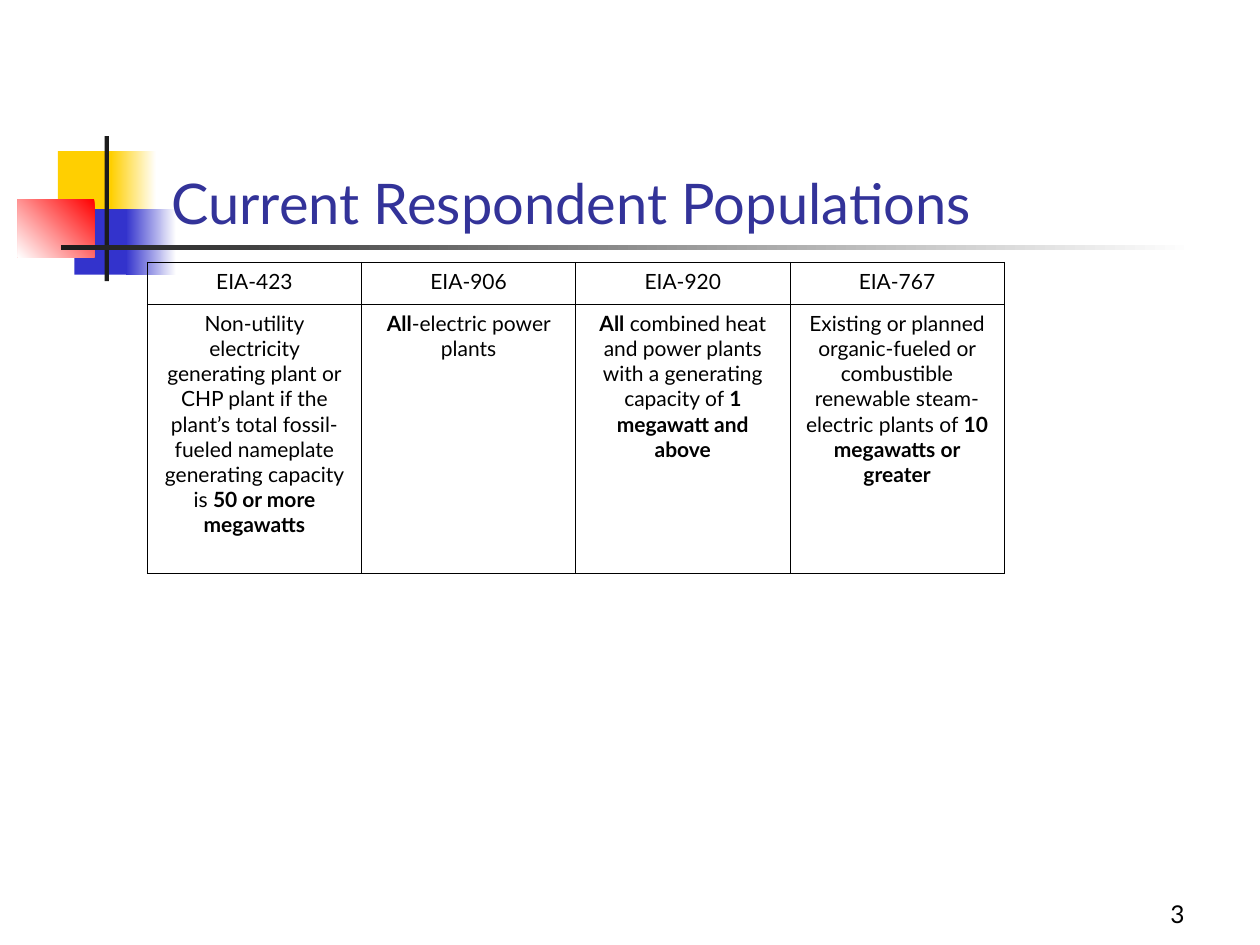
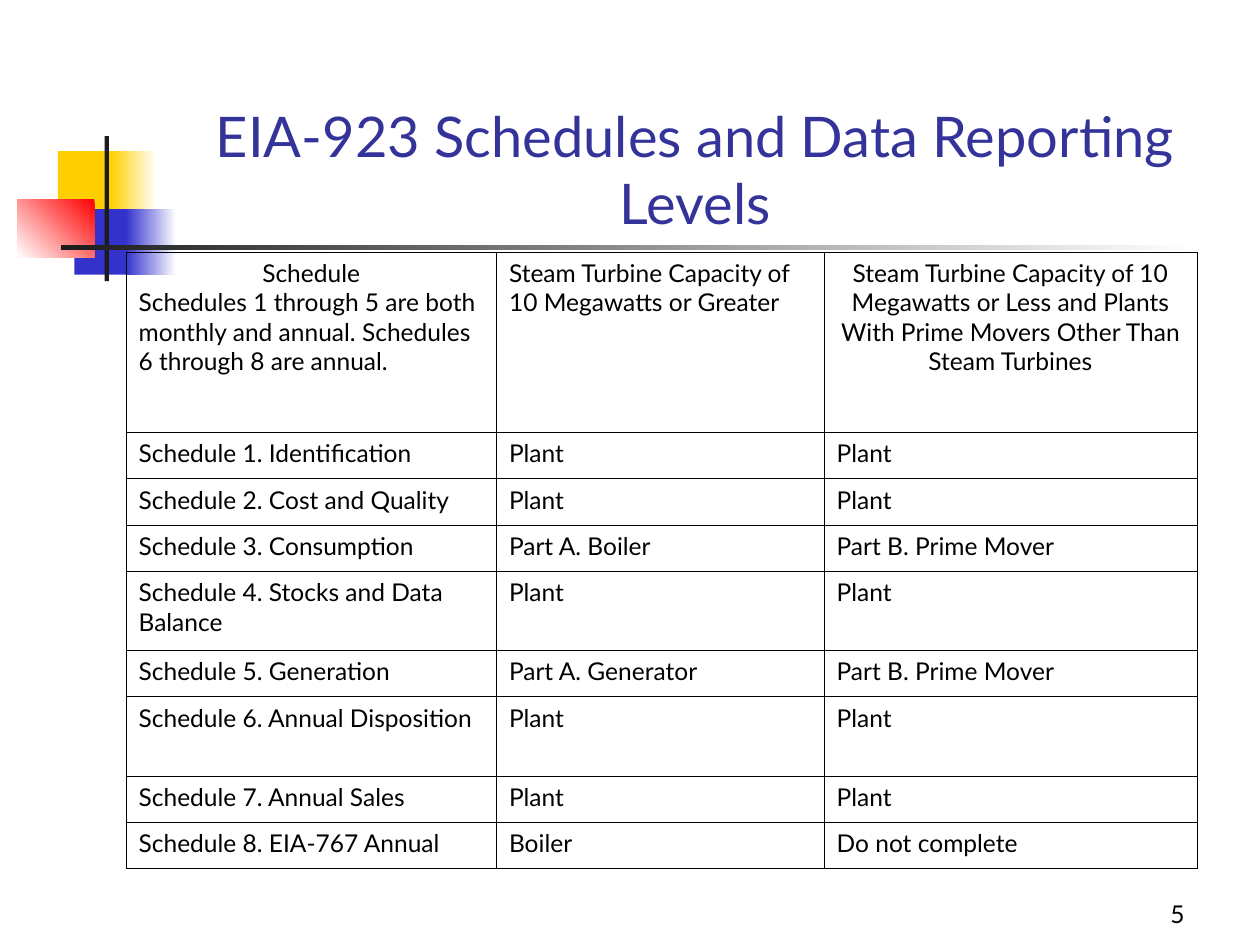
"""Build two slides on respondent populations and EIA-923 schedules."""
from lxml.etree import SubElement
from pptx import Presentation
from pptx.dml.color import RGBColor
from pptx.enum.shapes import MSO_SHAPE
from pptx.enum.text import MSO_ANCHOR, PP_ALIGN
from pptx.oxml.ns import qn
from pptx.util import Pt

FONT = "Lato"
NAVY = RGBColor(0x33, 0x33, 0x99)
BLACK = RGBColor(0, 0, 0)
WHITE = RGBColor(0xFF, 0xFF, 0xFF)
YELLOW = RGBColor(0xFF, 0xCF, 0x01)
BLUE = RGBColor(0x33, 0x33, 0xCC)
RED = RGBColor(0xFF, 0, 0)
DARK = RGBColor(0x1C, 0x1C, 0x1C)
LEFT, CENTER, RIGHT = PP_ALIGN.LEFT, PP_ALIGN.CENTER, PP_ALIGN.RIGHT

# Left, top, width, height, gradient colours (one means solid), angle
DECOR = [
    (33.1, 86.4, 34.6, 37.4, [YELLOW], 0),
    (63.4, 86.4, 25.9, 37.4, [WHITE, YELLOW], 180),
    (42.5, 119.5, 33.1, 37.4, [BLUE], 0),
    (72, 119.5, 28.8, 37.4, [WHITE, BLUE], 180),
    (10.1, 113.8, 43.9, 33.1, [RED, WHITE], 225),
    (59.8, 77.8, 2.4, 82.8, [DARK], 0),
    (34.6, 140.2, 648, 2.4, [WHITE, DARK], 180),
]

# Text between ** marks is bold
POPULATIONS = [
    ["EIA-423", "EIA-906", "EIA-920", "EIA-767"],
    [
        "Non-utility electricity generating plant or CHP plant if the plant’s total "
        "fossil-fueled nameplate generating capacity is **50 or more megawatts**",
        "**All**-electric power plants",
        "**All** combined heat and power plants with a generating capacity of "
        "**1 megawatt and above**",
        "Existing or planned organic-fueled or combustible renewable steam-electric "
        "plants of **10 megawatts or greater**",
    ],
]

SCHEDULES = [
    [
        "Schedule\nSchedules 1 through 5 are both monthly and annual. "
        "Schedules 6 through 8 are annual.",
        "Steam Turbine Capacity of 10 Megawatts or Greater",
        "Steam Turbine Capacity of 10 Megawatts or Less and Plants With Prime Movers "
        "Other Than Steam Turbines",
    ],
    ["Schedule 1. Identification", "Plant", "Plant"],
    ["Schedule 2. Cost and Quality", "Plant", "Plant"],
    ["Schedule 3. Consumption", "Part A. Boiler", "Part B. Prime Mover"],
    ["Schedule 4. Stocks and Data Balance", "Plant", "Plant"],
    ["Schedule 5. Generation", "Part A. Generator", "Part B. Prime Mover"],
    ["Schedule 6. Annual Disposition", "Plant", "Plant"],
    ["Schedule 7. Annual Sales", "Plant", "Plant"],
    ["Schedule 8. EIA-767 Annual", "Boiler", "Do not complete"],
]

SLIDES = [
    dict(title="Current Respondent Populations", title_align=LEFT, number="3",
         rows=POPULATIONS, at=(84.2, 149.8), widths=[122.4] * 4,
         heights=[24, 154], size=12, align=CENTER, special={}),
    dict(title="EIA-923 Schedules and Data Reporting Levels", title_align=CENTER,
         number="5", rows=SCHEDULES, at=(72, 144), widths=[211.7, 187.2, 213.1],
         heights=[103, 26.5, 26.5, 26.5, 45.3, 26.5, 45.3, 26.5, 26.5],
         size=14, align=LEFT, special={(0, 0): [CENTER, LEFT], (0, 2): [CENTER]}),
]


def write(tf, text, size=14, color=BLACK, aligns=(LEFT,)):
    """Write lines of text, one alignment per line, with ** marking bold."""
    tf.word_wrap = True
    for i, (line, align) in enumerate(zip(text.split("\n"), aligns)):
        p = tf.paragraphs[0] if i == 0 else tf.add_paragraph()
        p.alignment = align
        for j, part in enumerate(line.split("**")):
            if part:
                r = p.add_run()
                r.text = part
                r.font.name = FONT
                r.font.size = Pt(size)
                r.font.bold = j % 2 == 1
                r.font.color.rgb = color


def add_borders(cell):
    """Draw a thin black line on each side of a cell."""
    tc_pr = cell._tc.get_or_add_tcPr()
    for side in ("a:lnL", "a:lnR", "a:lnT", "a:lnB"):
        ln = SubElement(tc_pr, qn(side), w=str(Pt(0.45)))
        fill = SubElement(ln, qn("a:solidFill"))
        SubElement(fill, qn("a:srgbClr"), val=str(BLACK))


prs = Presentation()
prs.slide_width, prs.slide_height = Pt(720), Pt(540)

for item in SLIDES:
    s = prs.slides.add_slide(prs.slide_layouts[6])

    for *box, colors, angle in DECOR:
        sp = s.shapes.add_shape(MSO_SHAPE.RECTANGLE, *map(Pt, box))
        sp.shadow.inherit = False
        sp.line.fill.background()
        if len(colors) == 1:
            sp.fill.solid()
            sp.fill.fore_color.rgb = colors[0]
        else:
            sp.fill.gradient()
            sp.fill.gradient_angle = angle
            for stop, color in zip(sp.fill.gradient_stops, colors):
                stop.color.rgb = color

    tf = s.shapes.add_textbox(Pt(90.7), Pt(48.2), Pt(613.4), Pt(90)).text_frame
    tf.vertical_anchor = MSO_ANCHOR.BOTTOM
    write(tf, item["title"], size=32, color=NAVY, aligns=[item["title_align"]])

    rows, widths, heights = item["rows"], item["widths"], item["heights"]
    left, top = item["at"]
    table = s.shapes.add_table(len(rows), len(widths), Pt(left), Pt(top),
                               Pt(sum(widths)), Pt(sum(heights))).table
    table.first_row = table.horz_banding = False
    for col, width in zip(table.columns, widths):
        col.width = Pt(width)
    for row, height in zip(table.rows, heights):
        row.height = Pt(height)
    for i, texts in enumerate(rows):
        for j, text in enumerate(texts):
            cell = table.cell(i, j)
            add_borders(cell)
            cell.fill.background()
            aligns = item["special"].get((i, j), [item["align"]])
            write(cell.text_frame, text, size=item["size"], aligns=aligns)

    tf = s.shapes.add_textbox(Pt(534.2), Pt(498.2), Pt(149.8), Pt(36)).text_frame
    tf.vertical_anchor = MSO_ANCHOR.BOTTOM
    write(tf, item["number"], aligns=[RIGHT])

prs.save("out.pptx")
